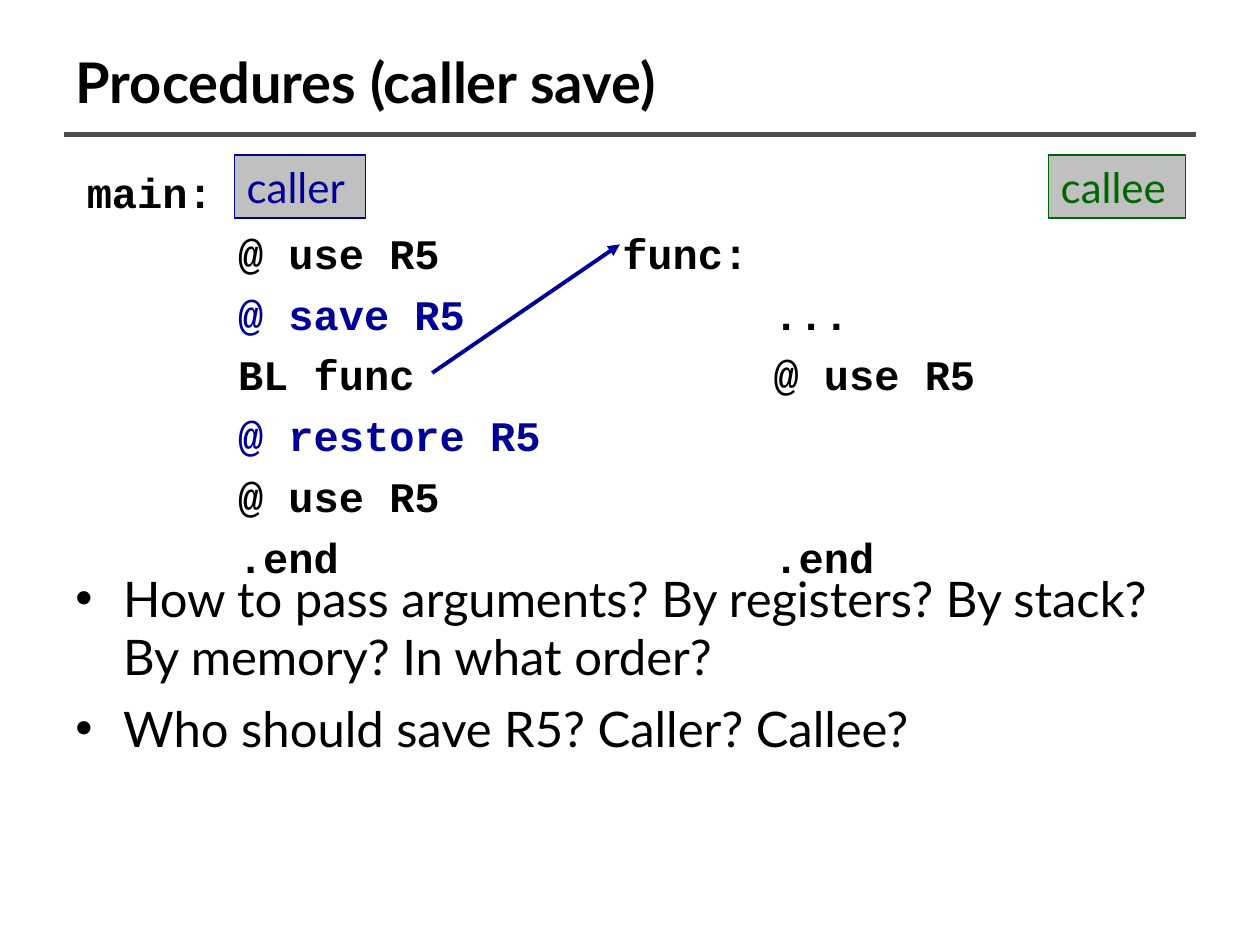
"""Build the slide on procedures where the caller saves the registers."""
from lxml.etree import SubElement
from pptx import Presentation
from pptx.dml.color import RGBColor
from pptx.enum.shapes import MSO_CONNECTOR as CONNECTOR, MSO_SHAPE as SHAPE
from pptx.enum.text import MSO_ANCHOR as ANCHOR, MSO_AUTO_SIZE as AUTO_SIZE, PP_ALIGN as ALIGN
from pptx.oxml.ns import qn
from pptx.util import Inches, Pt

COLORS = {"black": "000000", "navy": "000099", "green": "006600",
          "silver": "C0C0C0", "gray": "4D4D4D"}


def format_font(font, color, **values):
    font.color.rgb = RGBColor.from_string(COLORS[color])
    for name, value in values.items():
        setattr(font, name, value)


def add_line(slide, start, end, color, width):
    line = slide.shapes.add_connector(
        CONNECTOR.STRAIGHT, *(Inches(value) for value in (*start, *end)))
    line.line.color.rgb = RGBColor.from_string(COLORS[color])
    line.line.width = Pt(width)
    SubElement(line._element.spPr, qn("a:effectLst"))
    return line


presentation = Presentation()
presentation.slide_width = Inches(10)
presentation.slide_height = Inches(7.5)
slide = presentation.slides.add_slide(presentation.slide_layouts[5])

add_line(slide, (0.51, 1.07), (9.49, 1.07), "gray", 3)

title = slide.shapes.title
title.left, title.top = Inches(0.5), Inches(0.3)
title.width, title.height = Inches(9), Inches(0.69)
title.text_frame.text = "Procedures (caller save)"
title.text_frame.vertical_anchor = ANCHOR.MIDDLE
title_paragraph = title.text_frame.paragraphs[0]
title_paragraph.alignment = ALIGN.LEFT
format_font(title_paragraph.font, "black", name="Lato", size=Pt(32), bold=True)

questions = [
    "How to pass arguments? By registers? By stack? By memory? In what order?",
    "Who should save R5? Caller? Callee?",
]
body = slide.shapes.add_textbox(Inches(0.5), Inches(4.46), Inches(9), Inches(2.68))
body.text_frame.word_wrap = True
body.text_frame.text = "\n".join(questions)
for index, paragraph in enumerate(body.text_frame.paragraphs):
    properties = paragraph._p.get_or_add_pPr()
    properties.set("marL", str(Inches(0.38)))
    properties.set("indent", str(-Inches(0.38)))
    SubElement(properties, qn("a:buFont"), typeface="Arial")
    SubElement(properties, qn("a:buChar"), char="•")
    paragraph.space_before = Pt(7 if index else 0)
    format_font(paragraph.font, "black", name="Lato", size=Pt(28))

line_height, line_gap = 28.8, 6
row_pitch = line_height + line_gap
code_top = 1.27
code_columns = [
    (0.59, 0, [
        (0, "main:", "black"),
        (1, "      @ use R5", "black"),
        (2, "      @ save R5", "navy"),
        (3, "      BL func", "black"),
        (4, "      @ restore R5", "navy"),
        (5, "      @ use R5", "black"),
        (6, "      .end", "black"),
    ]),
    (4.84, 1, [
        (1, "func:", "black"),
        (2, "      ...", "black"),
        (3, "      @ use R5", "black"),
        (6, "      .end", "black"),
    ]),
]
for left, first_row, code_lines in code_columns:
    offset = first_row * row_pitch / 72
    code = slide.shapes.add_textbox(
        Inches(left), Inches(code_top + offset), Inches(4.49), Inches(3.19 - offset))
    code.text_frame.word_wrap = True
    code.text_frame.text = "\n".join(text for _, text, _ in code_lines)
    previous_row = first_row
    for paragraph, (row, _, color) in zip(code.text_frame.paragraphs, code_lines):
        skipped_rows = max(row - previous_row - 1, 0)
        gap = line_gap + skipped_rows * row_pitch if row > first_row else 0
        paragraph.line_spacing = Pt(line_height)
        paragraph.space_before = Pt(gap)
        format_font(paragraph.runs[0].font, color, name="Courier New", size=Pt(24), bold=True)
        previous_row = row

call_arrow = add_line(slide, (3.43, 2.96), (4.92, 1.94), "navy", 2.25)
SubElement(call_arrow.line._get_or_add_ln(), qn("a:tailEnd"), type="triangle")

for text, left, width, color in [("caller", 1.86, 1.04, "navy"), ("callee", 8.32, 1.09, "green")]:
    label = slide.shapes.add_shape(
        SHAPE.RECTANGLE, Inches(left), Inches(1.23), Inches(width), Inches(0.5))
    label.shadow.inherit = False
    label.fill.solid()
    label.fill.fore_color.rgb = RGBColor.from_string(COLORS["silver"])
    label.line.color.rgb = RGBColor.from_string(COLORS[color])
    label.line.width = Pt(0.75)
    frame = label.text_frame
    frame.text = text
    frame.word_wrap = False
    frame.auto_size = AUTO_SIZE.SHAPE_TO_FIT_TEXT
    frame.vertical_anchor = ANCHOR.TOP
    frame.paragraphs[0].alignment = ALIGN.LEFT
    format_font(frame.paragraphs[0].font, color, name="Lato", size=Pt(24))

presentation.save("out.pptx")
